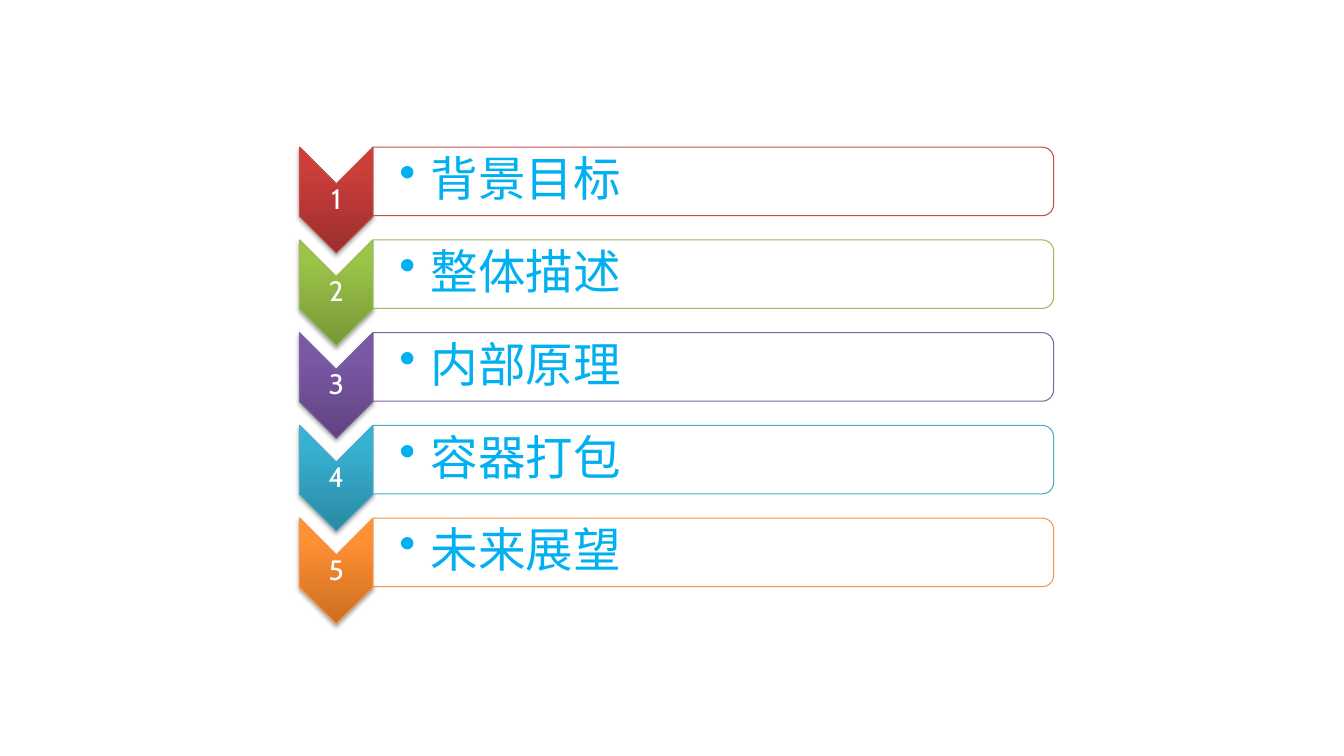
from lxml import etree
from pptx import Presentation
from pptx.dml.color import RGBColor
from pptx.enum.shapes import MSO_SHAPE
from pptx.enum.text import MSO_ANCHOR, PP_ALIGN
from pptx.oxml import parse_xml
from pptx.oxml.ns import nsdecls, qn
from pptx.util import Pt

CHEVRON = MSO_SHAPE.CHEVRON
CARD = MSO_SHAPE.ROUND_2_SAME_RECTANGLE
MIDDLE = MSO_ANCHOR.MIDDLE
CENTER = PP_ALIGN.CENTER
LEFT = PP_ALIGN.LEFT

PX = 9144
FONT = "Cabin"
AGENDA = [
    ("背景目标", "C0504D", ("9C2F2D", "CB3E3A", "CE3B37")),
    ("整体描述", "9BBB59", ("779737", "9BC348", "9DC746")),
    ("内部原理", "8064A2", ("5F4480", "7B58A6", "7C57A8")),
    ("容器打包", "4BACC6", ("2A88A2", "37B1D2", "34B4D6")),
    ("未来展望", "F79646", ("CC6E20", "FF9034", "FF9136")),
]
ROW_LEFT, ROW_TOP, ROW_PITCH = 297, 146, 92
CHEVRON_W, CHEVRON_H = 73, 105
CARD_W, CARD_H = 675, 68


def px(n):
    """Turn pixels into EMU."""
    return int(n * PX)


def rgb(value):
    """Turn a hex string into a colour."""
    return RGBColor.from_string(value)


def add_turned(s, kind, x, y, w, h, line):
    """Add a shape turned by a quarter that fills the given visible box."""
    sp = s.shapes.add_shape(kind, px(x + (w - h) / 2), px(y + (h - w) / 2), px(h), px(w))
    sp.rotation = 90
    sp.shadow.inherit = False
    sp.line.color.rgb = rgb(line)
    sp.line.width = Pt(0.75)
    return sp


def add_text(s, text, x, y, w, h, size, color, align, margins):
    """Add a one-paragraph text box and return its paragraph."""
    tf = s.shapes.add_textbox(px(x), px(y), px(w), px(h)).text_frame
    left, other = margins
    frame = {"word_wrap": True, "vertical_anchor": MIDDLE, "margin_left": px(left),
             "margin_top": px(other), "margin_right": px(other), "margin_bottom": px(other)}
    for name, value in frame.items():
        setattr(tf, name, value)
    p = tf.paragraphs[0]
    p.alignment = align
    p.line_spacing = 0.9
    r = p.add_run()
    r.text = text
    for name, value in {"name": FONT, "size": Pt(size)}.items():
        setattr(r.font, name, value)
    r.font.color.rgb = rgb(color)
    return p


def set_gradient(sp, colors):
    """Fill a shape with an upright gradient from bottom to top."""
    stops = "".join(f'<a:gs pos="{pos}"><a:srgbClr val="{color}"/></a:gs>'
                    for pos, color in zip((0, 80000, 100000), colors))
    sp.fill.background()
    fill = sp.element.spPr.find(qn("a:noFill"))
    fill.getparent().replace(fill, parse_xml(
        f'<a:gradFill {nsdecls("a")} rotWithShape="0"><a:gsLst>{stops}</a:gsLst>'
        '<a:lin ang="16200000" scaled="0"/></a:gradFill>'))


def set_shadow(sp):
    """Give a shape a soft shadow below it."""
    sp.element.spPr.find(qn("a:effectLst")).append(parse_xml(
        f'<a:outerShdw {nsdecls("a")} blurRad="40000" dist="23000" dir="5400000" '
        'rotWithShape="0"><a:srgbClr val="000000"><a:alpha val="35000"/>'
        '</a:srgbClr></a:outerShdw>'))


def set_bullet(p, indent):
    """Give a paragraph a round bullet with a hanging indent."""
    pPr = p._p.get_or_add_pPr()
    pPr.set("marL", str(px(indent)))
    pPr.set("indent", str(-px(indent)))
    etree.SubElement(pPr, qn("a:buChar")).set("char", "•")


def add_marker(s, x, y, number, line, colors):
    """Draw the numbered chevron of a row."""
    sp = add_turned(s, CHEVRON, x, y, CHEVRON_W, CHEVRON_H, line)
    set_gradient(sp, colors)
    set_shadow(sp)
    add_text(s, str(number), x, y + 37, CHEVRON_W, 31, 20, "FFFFFF", CENTER, (1, 1))


def add_card(s, x, y, text, line):
    """Draw the rounded card of a row with its bulleted text."""
    sp = add_turned(s, CARD, x, y, CARD_W, CARD_H, line)
    sp.fill.solid()
    sp.fill.fore_color.rgb = rgb("FFFFFF")
    color = sp.element.spPr.find(qn("a:solidFill")).find(qn("a:srgbClr"))
    etree.SubElement(color, qn("a:alpha")).set("val", "90000")
    p = add_text(s, text, x, y + 3, CARD_W - 4, CARD_H - 6, 34, "00B0F0", LEFT, (26, 2))
    set_bullet(p, 31)


def add_agenda(s, x, y):
    """Stack the agenda rows from the given corner."""
    for i, (text, line, colors) in enumerate(AGENDA):
        top = y + i * ROW_PITCH
        add_marker(s, x, top, i + 1, line, colors)
        add_card(s, x + CHEVRON_W, top, text, line)


def main():
    """Build and save the slide."""
    prs = Presentation()
    prs.slide_width, prs.slide_height = px(1333), px(750)
    s = prs.slides.add_slide(prs.slide_layouts[6])
    add_agenda(s, ROW_LEFT, ROW_TOP)
    prs.save("out.pptx")


if __name__ == "__main__":
    main()
